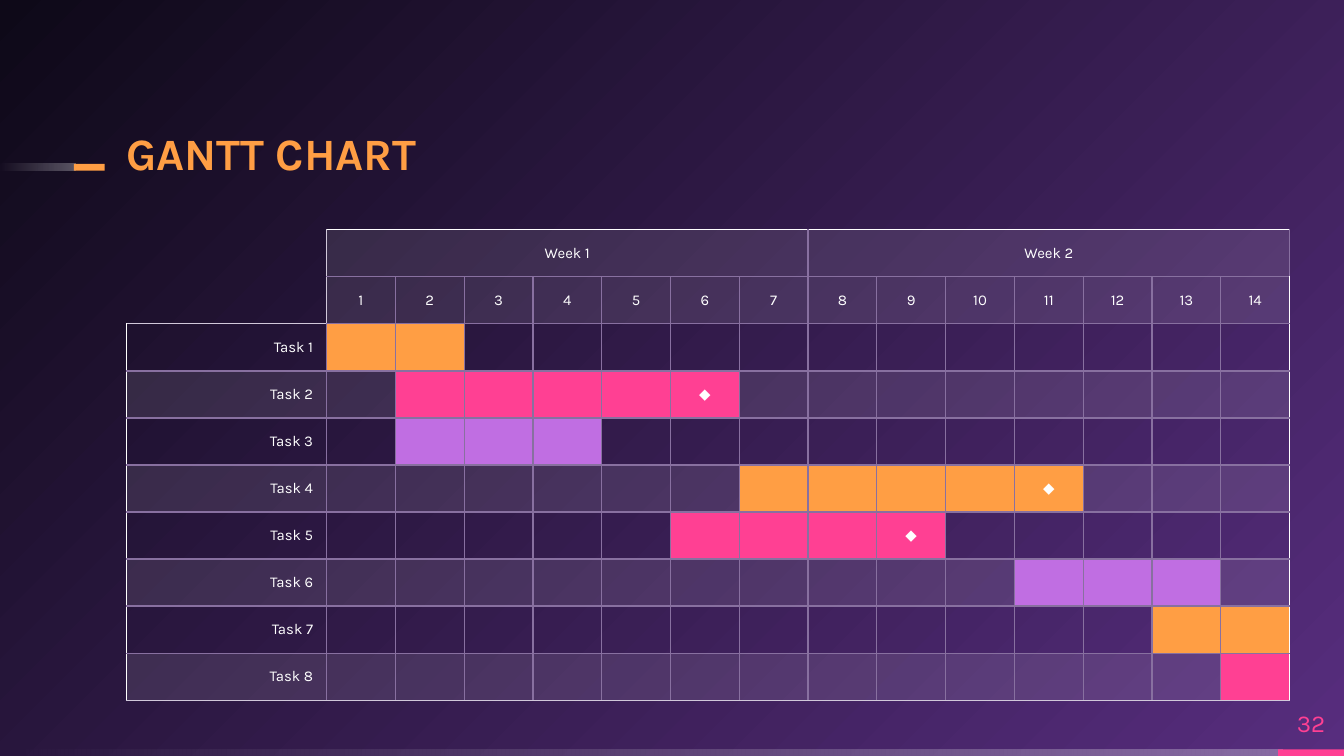
from lxml import etree
from pptx import Presentation
from pptx.dml.color import RGBColor
from pptx.enum.shapes import MSO_SHAPE
from pptx.enum.text import MSO_ANCHOR, MSO_AUTO_SIZE, PP_ALIGN
from pptx.oxml.ns import qn
from pptx.util import Inches, Pt

LEFT, CENTER, RIGHT = PP_ALIGN.LEFT, PP_ALIGN.CENTER, PP_ALIGN.RIGHT
MIDDLE, BOTTOM = MSO_ANCHOR.MIDDLE, MSO_ANCHOR.BOTTOM
RECT = MSO_SHAPE.RECTANGLE

FONT = "Karla"
C = {"orange": "FF9E44", "pink": "FF4093", "violet": "C06EE2", "white": "FFFFFF",
     "grid": "8870A0", "edge": "D1C8DA", "glow": "572D7E", "night": "0E0918"}

TITLE, PAGE = "GANTT CHART", "32"
WEEKS, DAYS_PER_WEEK = ["Week 1", "Week 2"], 7
MILESTONE = "◆"
# task, first day, last day, colour, milestone on the last day
TASKS = [
    ("Task 1", 1, 2, "orange", False),
    ("Task 2", 2, 6, "pink", True),
    ("Task 3", 2, 4, "violet", False),
    ("Task 4", 7, 11, "orange", True),
    ("Task 5", 6, 9, "pink", True),
    ("Task 6", 11, 13, "violet", False),
    ("Task 7", 13, 14, "orange", False),
    ("Task 8", 14, 14, "pink", False),
]
DAYS = len(WEEKS) * DAYS_PER_WEEK
HEADER_ROWS = 2
ROWS, COLS = HEADER_ROWS + len(TASKS), DAYS + 1

W = 10
H = W * 9 / 16
BAR_H = 0.05
LEFT_EDGE, TABLE_TOP, TABLE_W, TABLE_H = 0.94, 1.71, 8.66, 3.5
LABEL_W = 1.49
DAY_W = (TABLE_W - LABEL_W) / DAYS
NO_STYLE = "{2D5ABB26-0587-4C30-8999-92F81FD0307C}"


def box(x, y, w, h):
    return [Inches(v) for v in (x, y, w, h)]


def add_color(parent, color, alpha=100):
    clr = etree.SubElement(parent, qn("a:srgbClr"), val=C[color])
    if alpha < 100:
        etree.SubElement(clr, qn("a:alpha"), val=str(alpha * 1000))


def make_gradient(root, stops, angle=None):
    """Swap the first solid fill under root for a gradient, radial without an angle."""
    solid = next(root.iter(qn("a:solidFill")))
    grad = etree.Element(qn("a:gradFill"), rotWithShape="1")
    stop_list = etree.SubElement(grad, qn("a:gsLst"))
    for pos, color, alpha in stops:
        add_color(etree.SubElement(stop_list, qn("a:gs"), pos=str(pos * 1000)), color, alpha)
    if angle is None:
        path = etree.SubElement(grad, qn("a:path"), path="circle")
        etree.SubElement(path, qn("a:fillToRect"), l="100000", t="100000")
    else:
        etree.SubElement(grad, qn("a:lin"), ang=str(angle * 60000), scaled="0")
    solid.getparent().replace(solid, grad)


def add_bar(s, x, y, w, color, fading=False):
    sp = s.shapes.add_shape(RECT, *box(x, y, w, BAR_H))
    sp.shadow.inherit = False
    sp.line.fill.background()
    sp.fill.solid()
    sp.fill.fore_color.rgb = RGBColor.from_string(C[color])
    if fading:
        make_gradient(sp._element.spPr, [(0, color, 30), (100, color, 0)], 180)


def write(p, text, size, color, align, bold=False):
    p.alignment = align
    r = p.add_run()
    r.text = text
    for name, value in {"name": FONT, "size": Pt(size), "bold": bold}.items():
        setattr(r.font, name, value)
    r.font.color.rgb = RGBColor.from_string(C[color])


def set_frame(tf, anchor):
    for name, value in {"margin_left": 0, "margin_right": 0, "margin_top": 0,
                        "margin_bottom": 0, "word_wrap": True, "vertical_anchor": anchor,
                        "auto_size": MSO_AUTO_SIZE.NONE}.items():
        setattr(tf, name, value)


def cell_text(row, col):
    if row == 0:
        week, offset = divmod(col - 1, DAYS_PER_WEEK)
        return WEEKS[week] if col and offset == 0 else ""
    if row == 1:
        return str(col) if col else ""
    name, _, last, _, milestone = TASKS[row - HEADER_ROWS]
    if col == 0:
        return name
    return MILESTONE if milestone and col == last else ""


def cell_fill(row, col):
    """Colour and opacity, or None for a clear cell."""
    if row < HEADER_ROWS:
        return ("white", 10) if col else None
    _, first, last, color, _ = TASKS[row - HEADER_ROWS]
    if first <= col <= last:
        return color, 100
    return ("white", 10) if row % 2 else None


def cell_borders(row, col):
    if row < HEADER_ROWS and col == 0:
        return {"R": "edge", "B": "edge"} if row == HEADER_ROWS - 1 else {"R": "edge"}
    sides = dict.fromkeys("LRTB", "grid")
    if col == 0:
        sides["L"] = "white"
    if col == 1 and row < HEADER_ROWS:
        sides["L"] = "edge"
    if col == COLS - 1:
        sides["R"] = "white"
    if row == 0:
        sides["T"] = "white"
    if row == HEADER_ROWS and col == 0:
        sides["T"] = "edge"
    if row == ROWS - 1:
        sides["B"] = "edge"
    return sides


def format_cell(cell, row, col):
    cell.vertical_anchor = MIDDLE
    p = cell.text_frame.paragraphs[0]
    text = cell_text(row, col)
    if text:
        write(p, text, 8, "white", CENTER if col else RIGHT)
    else:
        p._p.get_or_add_endParaRPr().set("sz", "800")
    tc_pr = cell._tc.get_or_add_tcPr()
    for side, color in cell_borders(row, col).items():
        ln = etree.SubElement(tc_pr, qn("a:ln" + side), w=str(Pt(0.75)))
        add_color(etree.SubElement(ln, qn("a:solidFill")), color)
    fill = cell_fill(row, col)
    if fill:
        add_color(etree.SubElement(tc_pr, qn("a:solidFill")), *fill)
    else:
        etree.SubElement(tc_pr, qn("a:noFill"))


def add_gantt(s):
    frame = s.shapes.add_table(ROWS, COLS, *box(LEFT_EDGE, TABLE_TOP, TABLE_W, TABLE_H))
    table = frame.table
    table.first_row = table.horz_banding = False
    table._tbl.tblPr.find(qn("a:tableStyleId")).text = NO_STYLE
    for i, column in enumerate(table.columns):
        column.width = Inches(DAY_W if i else LABEL_W)
    for row in table.rows:
        row.height = Inches(TABLE_H / ROWS)
    for row in range(ROWS):
        for col in range(COLS):
            format_cell(table.cell(row, col), row, col)
    for first in range(1, COLS, DAYS_PER_WEEK):
        table.cell(0, first).merge(table.cell(0, first + DAYS_PER_WEEK - 1))


def main():
    prs = Presentation()
    prs.slide_width, prs.slide_height = Inches(W), Inches(H)
    s = prs.slides.add_slide(prs.slide_layouts[5])
    s.background.fill.solid()
    s.background.fill.fore_color.rgb = RGBColor.from_string(C["night"])
    make_gradient(s._element, [(0, "glow", 100), (100, "night", 100)])

    add_bar(s, 0, H - BAR_H, 9.54, "white", fading=True)
    add_bar(s, 9.51, H - BAR_H, 0.49, "pink")
    add_bar(s, 0, 1.22, 0.56, "white", fading=True)
    add_bar(s, 0.55, 1.22, 0.23, "orange")

    title = s.shapes.title
    title.left, title.top, title.width, title.height = box(LEFT_EDGE, 0.91, 5.8, 0.43)
    set_frame(title.text_frame, BOTTOM)
    p = title.text_frame.paragraphs[0]
    p.line_spacing = 0.9
    write(p, TITLE, 24, "orange", LEFT, bold=True)

    tf = s.shapes.add_textbox(*box(9.51, 5.19, 0.49, 0.38)).text_frame
    set_frame(tf, MIDDLE)
    write(tf.paragraphs[0], PAGE, 13, "pink", CENTER)

    add_gantt(s)
    prs.save("out.pptx")


if __name__ == "__main__":
    main()
